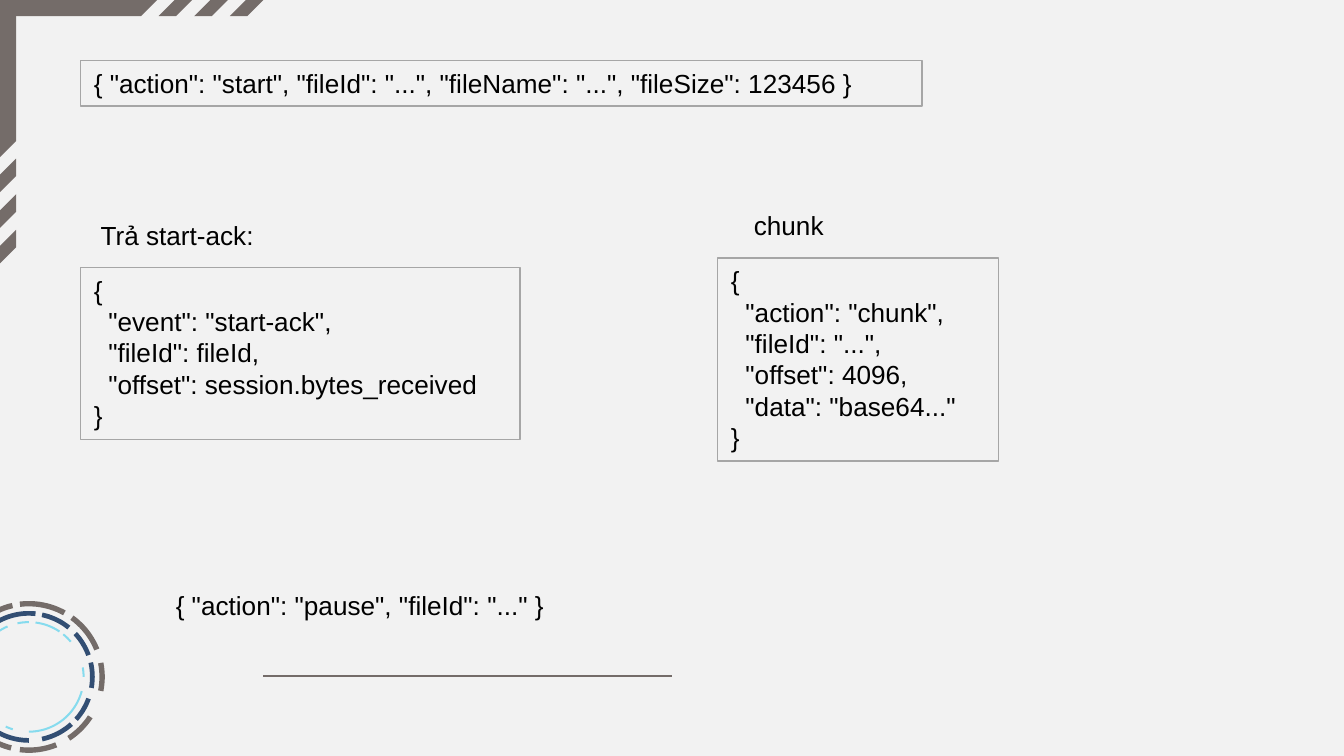
from dataclasses import dataclass
from math import cos, radians, sin

from lxml.etree import SubElement
from pptx import Presentation
from pptx.dml.color import RGBColor
from pptx.enum.shapes import MSO_CONNECTOR, MSO_SHAPE
from pptx.enum.text import MSO_ANCHOR, PP_ALIGN
from pptx.oxml.ns import qn
from pptx.util import Inches, Pt


@dataclass(frozen=True)
class Theme:
    background: str = "F2F2F2"
    taupe: str = "746C69"
    navy: str = "324E73"
    cyan: str = "86DBEE"
    border: str = "A6A6A6"
    text: str = "000000"
    font: str = "Arial"
    size: float = 14


THEME = Theme()
COLUMNS, ROWS = 100, 56.25  # square grid cells of a tenth of an inch
RING_CENTRE = (2.15, 50.37)

# Colour, inner radius, outer radius, and (start, end) of each dash in degrees
RINGS = [
    (THEME.taupe, 5.25, 5.65, [(104, 114), (68, 97), (33, 57), (-11, 11),
                               (-54, -22), (-97, -61), (-122, -103)]),
    (THEME.navy, 4.55, 4.9, [(90, 130), (48, 78), (20, 42), (-13, 10),
                             (-43, -20), (-78, -51), (-121, -84)]),
    (THEME.cyan, 4, 4.15, [(15, 90), (-10, 0), (-51, -40), (-83, -56),
                           (-102, -90), (-162, -113), (107, 115)]),
]

# Column, row, width, height, lines
MESSAGES = [
    (6, 4.5, 62.6, 3.4,
     ['{ "action": "start", "fileId": "...", "fileName": "...", "fileSize": 123456 }']),
    (6, 19.9, 32.7, 12.8,
     ['{', '  "event": "start-ack",', '  "fileId": fileId,',
      '  "offset": session.bytes_received', '}']),
    (53.4, 19.2, 20.9, 15.1,
     ['{', '  "action": "chunk",', '  "fileId": "...",', '  "offset": 4096,',
      '  "data": "base64..."', '}']),
]
LABELS = [
    (6.5, 15.8, 51.7, 3.4, ["Trả start-ack:"]),
    (55.1, 15.1, 9.8, 3.4, ["chunk"]),
    (12.1, 43.4, 51.7, 3.4, ['{ "action": "pause", "fileId": "..." }']),
]


def cells(*counts):
    return [Inches(count / 10) for count in counts]


def colour(value):
    return RGBColor.from_string(value)


def add_outline(page, points, fill):
    """Draw a closed, filled outline through grid points."""
    corners = [tuple(cells(*point)) for point in points]
    builder = page.shapes.build_freeform(*corners[0])
    builder.add_line_segments(corners[1:], close=True)
    shape = builder.convert_to_shape()
    shape.shadow.inherit = False
    shape.fill.solid()
    shape.fill.fore_color.rgb = colour(fill)
    shape.line.fill.background()


def add_dash(page, inner, outer, start, end, fill):
    """Draw one curved dash of a ring."""
    steps = max(4, (end - start) // 3)
    angles = [radians(start + (end - start) * step / steps) for step in range(steps + 1)]
    sides = [(outer, angle) for angle in angles] + [(inner, angle) for angle in reversed(angles)]
    left, top = RING_CENTRE
    points = [(left + radius * cos(angle), top + radius * sin(angle)) for radius, angle in sides]
    add_outline(page, points, fill)


def add_corner(page):
    """Draw the bar and its slanted stripes along the top and left edges."""
    bar = [(0, 0), (0, 1.2), (10.5, 1.2), (11.7, 0)]
    stripes = [[(start, 1.2), (start + 1.3, 1.2), (start + 2.5, 0), (start + 1.2, 0)]
               for start in (11.8, 14.45, 17.1)]
    for outline in [bar, *stripes]:
        add_outline(page, outline, THEME.taupe)
        add_outline(page, [(row, column) for column, row in outline], THEME.taupe)


def add_rule(page, left, right, row):
    rule = page.shapes.add_connector(MSO_CONNECTOR.STRAIGHT, *cells(left, row, right, row))
    rule.line.color.rgb = colour(THEME.taupe)
    rule.line.width = Pt(1.5)
    SubElement(rule._element.spPr, qn("a:effectLst"))


def write_lines(box, lines):
    frame = box.text_frame
    frame.word_wrap = True
    frame.vertical_anchor = MSO_ANCHOR.TOP
    for index, line in enumerate(lines):
        para = frame.add_paragraph() if index else frame.paragraphs[0]
        para.alignment = PP_ALIGN.LEFT
        span = para.add_run()
        span.text = line
        for name, value in {"name": THEME.font, "size": Pt(THEME.size)}.items():
            setattr(span.font, name, value)
        span.font.color.rgb = colour(THEME.text)


def add_message(page, column, row, width, height, lines):
    """Add a bordered box with a message body."""
    box = page.shapes.add_shape(MSO_SHAPE.RECTANGLE, *cells(column, row, width, height))
    box.shadow.inherit = False
    box.fill.background()
    box.line.color.rgb = colour(THEME.border)
    box.line.width = Pt(0.75)
    write_lines(box, lines)


def add_label(page, column, row, width, height, lines):
    write_lines(page.shapes.add_textbox(*cells(column, row, width, height)), lines)


def main():
    deck = Presentation()
    deck.slide_width, deck.slide_height = cells(COLUMNS, ROWS)
    page = deck.slides.add_slide(deck.slide_layouts[6])
    page.background.fill.solid()
    page.background.fill.fore_color.rgb = colour(THEME.background)

    # Decoration
    for fill, inner, outer, dashes in RINGS:
        for start, end in dashes:
            add_dash(page, inner, outer, start, end, fill)
    add_corner(page)
    add_rule(page, 19.6, 50, 50.3)

    # Messages and their labels
    for message in MESSAGES:
        add_message(page, *message)
    for label in LABELS:
        add_label(page, *label)

    deck.save("out.pptx")


if __name__ == "__main__":
    main()
